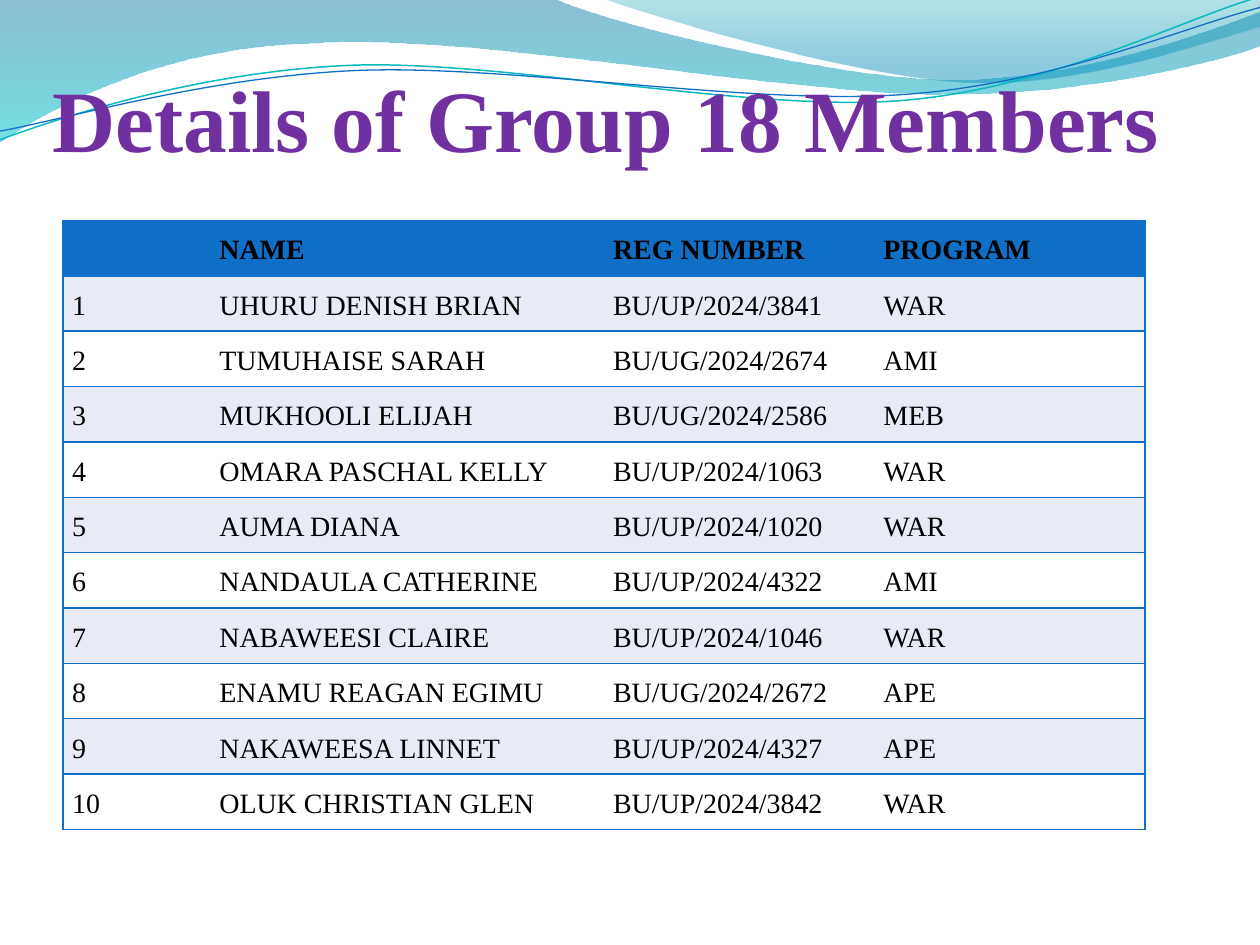
import math

from lxml import etree
from pptx import Presentation, util as u
from pptx.dml.color import RGBColor
from pptx.enum import text
from pptx.oxml import ns

FONT, BLUE = "Times New Roman", "0F6FC6"


def color(value):
    return RGBColor.from_string(value)


def draw_wave(page, start, *segments, tilt=0, closed=False):
    """Draw lines (one point) and cubic curves (three points), in points."""
    # Level the points about the middle of the band, since the shape is tilted back
    sine, cosine = math.sin(math.radians(-tilt)), math.cos(math.radians(-tilt))
    middle_x, middle_y = (360, 42) if tilt else (0, 0)
    level = [[(u.Pt(middle_x + (x - middle_x) * cosine - (y - middle_y) * sine),
               u.Pt(middle_y + (x - middle_x) * sine + (y - middle_y) * cosine))
              for x, y in segment] for segment in ([start], *segments)]
    builder = page.shapes.build_freeform(*level[0][0])
    builder.add_line_segments([segment[-1] for segment in level[1:]], close=closed)
    wave = builder.convert_to_shape()
    # Turn the lines between knots into true curves
    lines = list(wave._element.spPr.iter(ns.qn("a:lnTo")))
    for line, segment in zip(lines, level[1:]):
        if len(segment) == 3:
            curve = etree.Element(ns.qn("a:cubicBezTo"))
            for x, y in segment:
                etree.SubElement(curve, ns.qn("a:pt"),
                                 x=str(x - wave.left), y=str(y - wave.top))
            line.getparent().replace(line, curve)
    wave.rotation = tilt
    wave.shadow.inherit = False
    return wave


deck = Presentation()
deck.slide_width, deck.slide_height = u.Pt(720), u.Pt(540)
page = deck.slides.add_slide(deck.slide_layouts[6])

# Translucent bands across the top
left_band = draw_wave(
    page, (0, 0), [(316.8, -0.7)],
    [(342.7, 12.2), (478, 45.4), (545.8, 45.4)],
    [(614.2, 45.4), (689.8, 18.7), (720, 6.5)],
    [(720.7, 25.9)],
    [(707.8, 31.7), (626.4, 54.7), (537.1, 54)],
    [(447.8, 54), (275, 20.2), (185, 24.5)],
    [(92.9, 25.9), (33.1, 59.8), (-0.7, 81.4)], closed=True)
right_band = draw_wave(
    page, (344.9, -0.7),
    [(366.5, 7.9), (491, 44.6), (553.7, 46.8)],
    [(616.3, 49.7), (691.9, 23), (720, 15.1)],
    [(720, 0)], closed=True)
for band, stops in ((left_band, ((0, "0074A1", 45), (1, "00C6CF", 55))),
                    (right_band, ((0, "00A1A9", 30), (0.8, "008BBF", 45)))):
    band.line.fill.background()
    band.fill.gradient()
    band.fill.gradient_angle = 270
    for stop, (position, shade, _) in zip(band.fill.gradient_stops, stops):
        stop.position = position
        stop.color.rgb = color(shade)
    shades = band._element.spPr.iter(ns.qn("a:srgbClr"))
    for shade, (_, _, opacity) in zip(list(shades), stops):
        etree.SubElement(shade, ns.qn("a:alpha"), val=str(opacity * 1000))

# Thin curves over the bands
teal_curve = draw_wave(
    page, (0, 79.9),
    [(34.6, 67), (113.8, 41), (199.4, 37.4)],
    [(284.4, 33.8), (427, 64.1), (513.4, 57.6)],
    [(599.8, 51.1), (675.4, 10.8), (718.6, -1.4)], tilt=-2.7)
blue_curve = draw_wave(
    page, (0, 74.9),
    [(33.8, 69.1), (118.1, 43.9), (203.8, 40.3)],
    [(290.2, 36.7), (429.8, 60.5), (516.2, 54)],
    [(601.9, 48.2), (677.5, 15.1), (720, 4.3)], tilt=-2.7)
for curve, shade, width in ((teal_curve, "0AB8BF", 0.85), (blue_curve, BLUE, 0.75)):
    curve.fill.background()
    curve.line.color.rgb = color(shade)
    curve.line.width = u.Pt(width)

# Title
title = page.shapes.add_textbox(u.Pt(30), u.Pt(29.5), u.Pt(648), u.Pt(67.5))
frame = title.text_frame
frame.word_wrap = True
frame.vertical_anchor = text.MSO_ANCHOR.BOTTOM
frame.margin_left = frame.margin_right = frame.margin_bottom = 0
para = frame.paragraphs[0]
para.text = "Details of Group 18 Members"
para.font.name, para.font.size, para.font.bold = FONT, u.Pt(50), True
para.font.color.rgb = color("7030A0")

# Members table
members = [
    ("UHURU DENISH BRIAN", "BU/UP/2024/3841", "WAR"),
    ("TUMUHAISE SARAH", "BU/UG/2024/2674", "AMI"),
    ("MUKHOOLI ELIJAH", "BU/UG/2024/2586", "MEB"),
    ("OMARA PASCHAL KELLY", "BU/UP/2024/1063", "WAR"),
    ("AUMA DIANA", "BU/UP/2024/1020", "WAR"),
    ("NANDAULA CATHERINE", "BU/UP/2024/4322", "AMI"),
    ("NABAWEESI CLAIRE", "BU/UP/2024/1046", "WAR"),
    ("ENAMU REAGAN EGIMU", "BU/UG/2024/2672", "APE"),
    ("NAKAWEESA LINNET", "BU/UP/2024/4327", "APE"),
    ("OLUK CHRISTIAN GLEN", "BU/UP/2024/3842", "WAR"),
]
rows = [("", "NAME", "REG NUMBER", "PROGRAM")]
rows += [(str(number), *member) for number, member in enumerate(members, 1)]
widths = (84.2, 225, 154.5, 154.5)
table = page.shapes.add_table(len(rows), len(widths), u.Pt(36), u.Pt(126),
                              u.Pt(sum(widths)), u.Pt(31.64 * len(rows))).table
table.first_row = table.horz_banding = False
# The "No Style, No Grid" table style
table._tbl.tblPr.find(ns.qn("a:tableStyleId")).text = "{2D5ABB26-0587-4C30-8999-92F81FD0307C}"
for column, width in zip(table.columns, widths):
    column.width = u.Pt(width)

for r, row in enumerate(rows):
    table.rows[r].height = u.Pt(31.64)
    for c, words in enumerate(row):
        cell = table.cell(r, c)
        cell.vertical_anchor = text.MSO_ANCHOR.MIDDLE
        cell.margin_left = cell.margin_right = u.Pt(5.2)
        cell.margin_top = cell.margin_bottom = 0
        if words:
            para = cell.text_frame.paragraphs[0]
            para.text = words
            para.line_spacing = 1.14
            para.font.name, para.font.size, para.font.bold = FONT, u.Pt(16), r == 0
            para.font.color.rgb = color("000000")

        # Rules between rows, and the outer sides
        sides = ["lnL"] * (c == 0) + ["lnR"] * (c == len(row) - 1) + ["lnT", "lnB"]
        for side in sides:
            border = etree.SubElement(cell._tc.get_or_add_tcPr(), ns.qn("a:" + side),
                                      w=str(u.Pt(1)))
            solid = etree.SubElement(border, ns.qn("a:solidFill"))
            etree.SubElement(solid, ns.qn("a:srgbClr"), val=BLUE)
        cell.fill.solid()
        cell.fill.fore_color.rgb = color(BLUE if r == 0 else "E7EBF5" if r % 2 else "FFFFFF")

deck.save("out.pptx")
